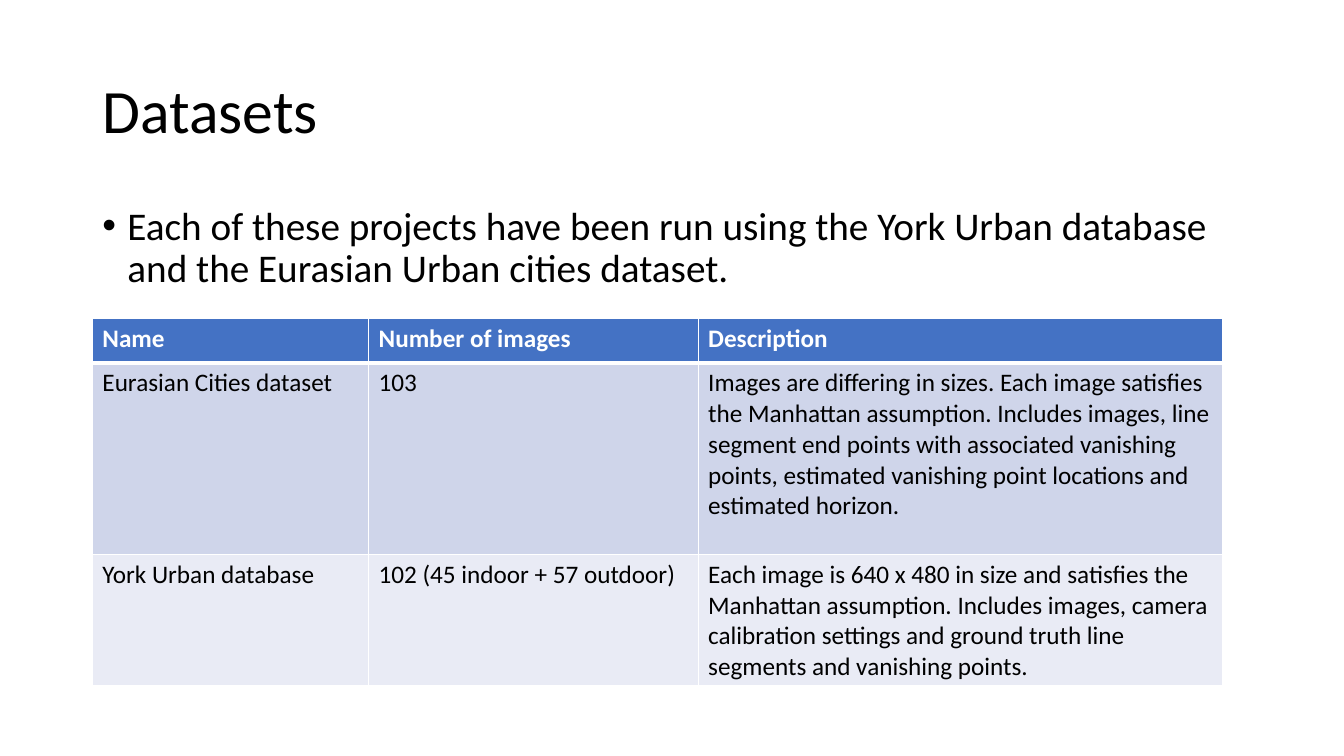
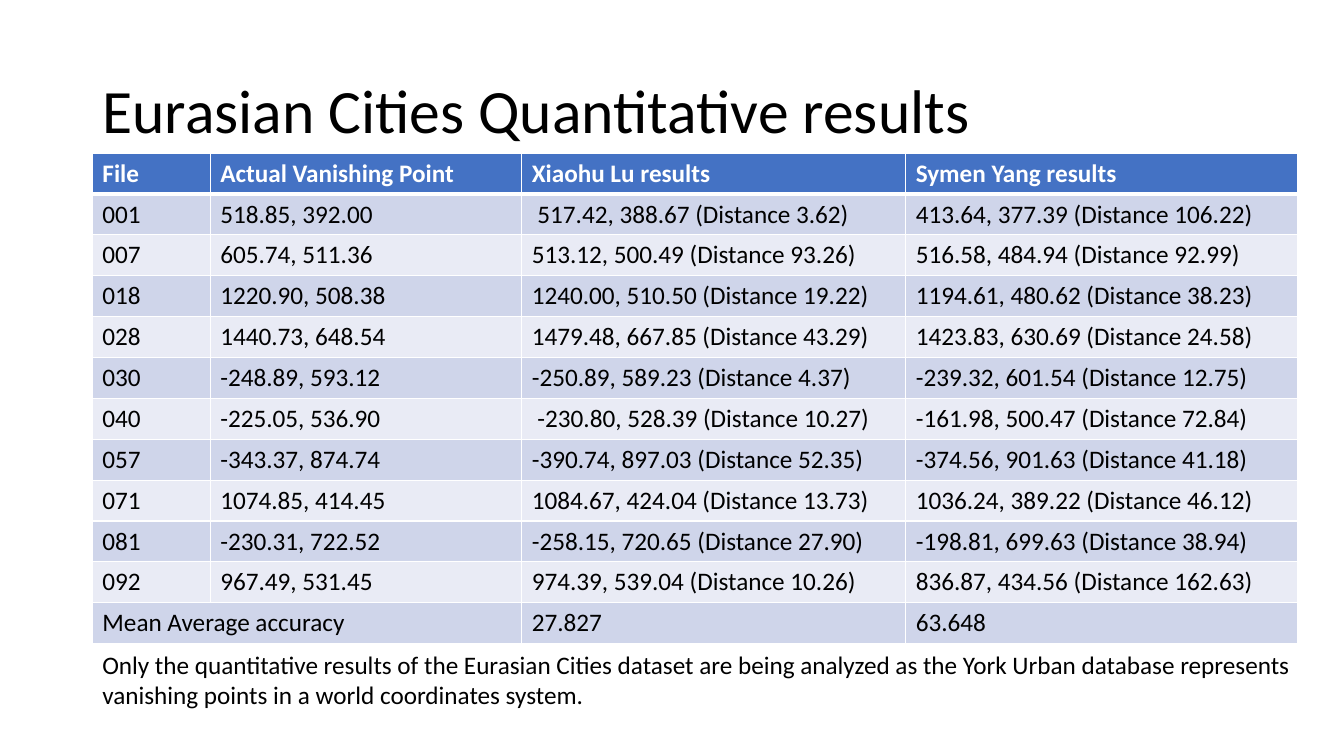
import pptx
import pptx.dml.color
import pptx.enum.text
import pptx.util
from lxml import etree
from pptx.oxml.ns import qn

Pt = pptx.util.Pt
FONT = "Calibri"
LEFT = 66
COLORS = {
    "text": "000000",
    "header_text": "FFFFFF",
    "grid": "FFFFFF",
    "header": "4472C4",
    "odd_band": "CFD5EA",
    "even_band": "E9EBF5",
}

DATASETS = [
    ("Name", "Number of images", "Description"),
    ("Eurasian Cities dataset", "103",
     "Images are differing in sizes. Each image satisfies the Manhattan assumption. "
     "Includes images, line segment end points with associated vanishing points, "
     "estimated vanishing point locations and estimated horizon."),
    ("York Urban database", "102 (45 indoor + 57 outdoor)",
     "Each image is 640 x 480 in size and satisfies the Manhattan assumption. "
     "Includes images, camera calibration settings and ground truth line segments "
     "and vanishing points."),
]

RESULTS = [
    ("File", "Actual Vanishing Point", "Xiaohu Lu results", "Symen Yang results"),
    ("001", "518.85, 392.00", " 517.42, 388.67 (Distance 3.62)", "413.64, 377.39 (Distance 106.22)"),
    ("007", "605.74, 511.36", "513.12, 500.49 (Distance 93.26)", "516.58, 484.94 (Distance 92.99)"),
    ("018", "1220.90, 508.38", "1240.00, 510.50 (Distance 19.22)", "1194.61, 480.62 (Distance 38.23)"),
    ("028", "1440.73, 648.54", "1479.48, 667.85 (Distance 43.29)", "1423.83, 630.69 (Distance 24.58)"),
    ("030", "-248.89, 593.12", "-250.89, 589.23 (Distance 4.37)", "-239.32, 601.54 (Distance 12.75)"),
    ("040", "-225.05, 536.90", " -230.80, 528.39 (Distance 10.27)", "-161.98, 500.47 (Distance 72.84)"),
    ("057", "-343.37, 874.74", "-390.74, 897.03 (Distance 52.35)", "-374.56, 901.63 (Distance 41.18)"),
    ("071", "1074.85, 414.45", "1084.67, 424.04 (Distance 13.73)", "1036.24, 389.22 (Distance 46.12)"),
    ("081", "-230.31, 722.52", "-258.15, 720.65 (Distance 27.90)", "-198.81, 699.63 (Distance 38.94)"),
    ("092", "967.49, 531.45", "974.39, 539.04 (Distance 10.26)", "836.87, 434.56 (Distance 162.63)"),
    ("Mean Average accuracy", None, "27.827", "63.648"),
]


def rgb(name):
    return pptx.dml.color.RGBColor.from_string(COLORS[name])


def add_run(paragraph, text, size, color="text", bold=False):
    paragraph.alignment = pptx.enum.text.PP_ALIGN.LEFT
    run = paragraph.add_run()
    run.text = text
    run.font.name = FONT
    run.font.size = Pt(size)
    run.font.bold = bold
    run.font.color.rgb = rgb(color)


def add_titled_slide(deck, text):
    slide = deck.slides.add_slide(deck.slide_layouts[5])
    title = slide.shapes.title
    title.left, title.top, title.width, title.height = Pt(LEFT), Pt(28.8), Pt(828), Pt(104.4)
    title.text_frame.vertical_anchor = pptx.enum.text.MSO_ANCHOR.MIDDLE
    heading = title.text_frame.paragraphs[0]
    heading.line_spacing = 0.9
    add_run(heading, text, 44)
    return slide


def add_bullet(slide, text, top, height):
    body = slide.shapes.add_textbox(Pt(LEFT), Pt(top), Pt(828), Pt(height))
    body.text_frame.word_wrap = True
    point = body.text_frame.paragraphs[0]
    point.line_spacing = 0.9
    point.space_before = Pt(10)
    add_run(point, text, 28)
    properties = point._p.get_or_add_pPr()
    properties.set("marL", str(Pt(18)))
    properties.set("indent", str(Pt(-18)))
    etree.SubElement(properties, qn("a:buFont"), typeface="Arial")
    etree.SubElement(properties, qn("a:buChar"), char="•")


def add_caption(slide, lines, top):
    caption = slide.shapes.add_textbox(Pt(LEFT), Pt(top), Pt(873.4), Pt(51))
    frame = caption.text_frame
    frame.word_wrap = False
    frame.auto_size = pptx.enum.text.MSO_AUTO_SIZE.SHAPE_TO_FIT_TEXT
    for index, line in enumerate(lines):
        paragraph = frame.add_paragraph() if index else frame.paragraphs[0]
        add_run(paragraph, line, 18)


def set_borders(cell, row):
    properties = cell._tc.get_or_add_tcPr()
    widths = {"L": 1, "R": 1, "T": 3 if row == 1 else 1, "B": 3 if row == 0 else 1}
    for side, width in widths.items():
        border = etree.SubElement(properties, qn(f"a:ln{side}"), w=str(Pt(width)))
        fill = etree.SubElement(border, qn("a:solidFill"))
        etree.SubElement(fill, qn("a:srgbClr"), val=COLORS["grid"])


def add_banded_table(slide, records, top, widths, heights):
    table = slide.shapes.add_table(
        len(records), len(widths), Pt(LEFT), Pt(top), Pt(sum(widths)), Pt(sum(heights))
    ).table
    for column, width in zip(table.columns, widths):
        column.width = Pt(width)
    for row, (record, height) in enumerate(zip(records, heights)):
        table.rows[row].height = Pt(height)
        is_header = row == 0
        band = "header" if is_header else "odd_band" if row % 2 else "even_band"
        for column, text in enumerate(record):
            cell = table.cell(row, column)
            set_borders(cell, row)
            cell.fill.solid()
            cell.fill.fore_color.rgb = rgb(band)
            if text is None:
                table.cell(row, column - 1).merge(cell)
            else:
                color = "header_text" if is_header else "text"
                add_run(cell.text_frame.paragraphs[0], text, 18, color, is_header)


def main():
    deck = pptx.Presentation()
    deck.slide_width, deck.slide_height = Pt(960), Pt(540)

    datasets = add_titled_slide(deck, "Datasets")
    add_bullet(
        datasets,
        "Each of these projects have been run using the York Urban database "
        "and the Eurasian Urban cities dataset.",
        144, 342.7,
    )
    add_banded_table(datasets, DATASETS, 227.5, [197.3, 235.4, 374.4], [31.7, 136.8, 93.6])

    results = add_titled_slide(deck, "Eurasian Cities Quantitative results")
    add_banded_table(results, RESULTS, 109.4, [84.2, 222.5, 274.3, 280.1], [29.2] * len(RESULTS))
    add_caption(
        results,
        ["Only the quantitative results of the Eurasian Cities dataset are being "
         "analyzed as the York Urban database represents",
         "vanishing points in a world coordinates system."],
        460,
    )
    deck.save("out.pptx")


if __name__ == "__main__":
    main()
